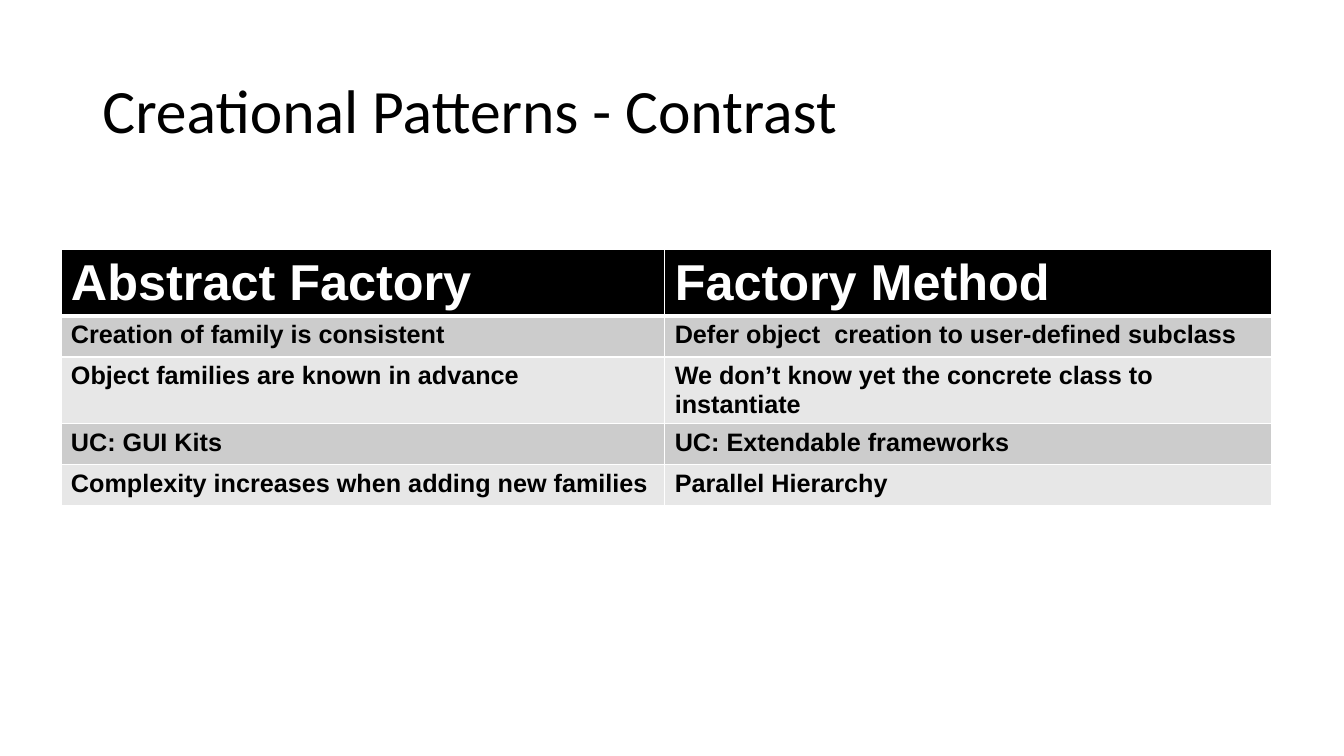
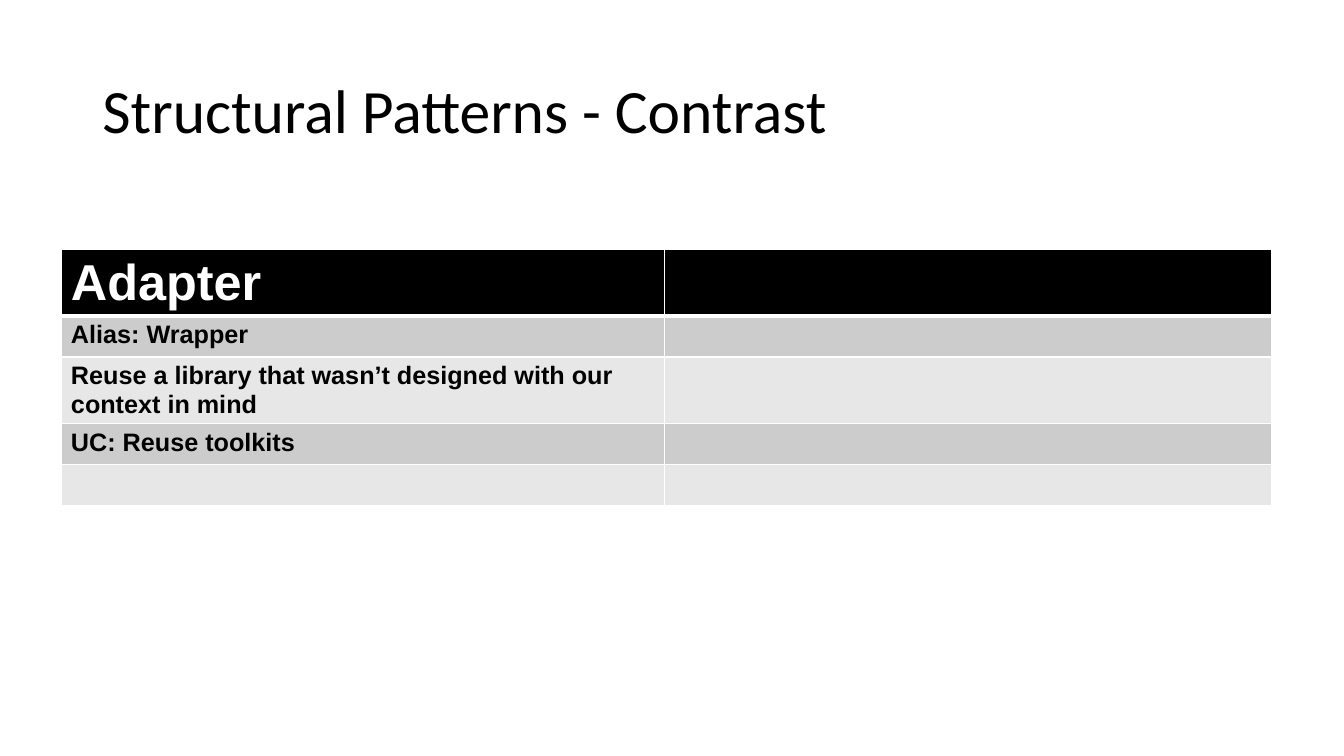
from dataclasses import dataclass

from lxml.etree import SubElement
from pptx import Presentation
from pptx.dml.color import RGBColor
from pptx.enum.text import MSO_ANCHOR, PP_ALIGN
from pptx.oxml.ns import qn
from pptx.util import Pt

SLIDES = [
    ("Creational Patterns - Contrast", [
        ("Abstract Factory", "Factory Method"),
        ("Creation of family is consistent", "Defer object  creation to user-defined subclass"),
        ("Object families are known in advance", "We don’t know yet the concrete class to instantiate"),
        ("UC: GUI Kits", "UC: Extendable frameworks"),
        ("Complexity increases when adding new families", "Parallel Hierarchy"),
    ]),
    ("Structural Patterns - Contrast", [
        ("Adapter", ""),
        ("Alias: Wrapper", ""),
        ("Reuse a library that wasn’t designed with our context in mind", ""),
        ("UC: Reuse toolkits", ""),
        ("", ""),
    ]),
]


@dataclass(frozen=True)
class Theme:
    title_font: str = "Calibri"
    table_font: str = "Arial"
    title_size: int = 44
    header_size: int = 36
    body_size: int = 18
    ink: str = "000000"
    paper: str = "FFFFFF"
    bands: tuple = ("CCCCCC", "E7E7E7")
    thin: int = 1
    thick: int = 3


THEME = Theme()
SLIDE_SIZE = (960, 540)
TITLE_BOX = (66, 28.75, 828, 104.4)
TABLE_ORIGIN = (43.5, 178.2)
COLUMN_WIDTHS = (431.3, 433.4)
ROW_HEIGHTS = (47.4, 29.2, 47.4, 29.2, 29.2)
TITLE_ONLY = 5


def add_text(para, text, font, size, color, bold=False):
    span = para.add_run()
    span.text = text
    span.font.name = font
    span.font.size = Pt(size)
    span.font.bold = bold
    span.font.color.rgb = RGBColor.from_string(color)


def add_title(page, text):
    box = page.shapes.title
    box.left, box.top, box.width, box.height = map(Pt, TITLE_BOX)
    frame = box.text_frame
    frame.word_wrap = True
    frame.vertical_anchor = MSO_ANCHOR.MIDDLE
    para = frame.paragraphs[0]
    para.alignment = PP_ALIGN.LEFT
    para.line_spacing = 0.9
    add_text(para, text, THEME.title_font, THEME.title_size, THEME.ink)


def set_borders(cell, row):
    properties = cell._tc.get_or_add_tcPr()
    widths = {
        "a:lnL": THEME.thin,
        "a:lnR": THEME.thin,
        "a:lnT": THEME.thick if row == 1 else THEME.thin,
        "a:lnB": THEME.thick if row == 0 else THEME.thin,
    }
    for index, (side, width) in enumerate(widths.items()):
        line = SubElement(properties, qn(side), w=str(Pt(width)))
        fill = SubElement(line, qn("a:solidFill"))
        SubElement(fill, qn("a:srgbClr"), val=THEME.paper)
        properties.insert(index, line)


def fill_cell(cell, row, text):
    header = row == 0
    background = THEME.ink if header else THEME.bands[(row - 1) % len(THEME.bands)]
    cell.fill.solid()
    cell.fill.fore_color.rgb = RGBColor.from_string(background)
    set_borders(cell, row)
    if text:
        size = THEME.header_size if header else THEME.body_size
        color = THEME.paper if header else THEME.ink
        add_text(cell.text_frame.paragraphs[0], text, THEME.table_font, size, color, bold=True)


def add_contrast_table(page, rows):
    extent = (*TABLE_ORIGIN, sum(COLUMN_WIDTHS), sum(ROW_HEIGHTS))
    table = page.shapes.add_table(len(rows), len(COLUMN_WIDTHS), *map(Pt, extent)).table
    for column, width in zip(table.columns, COLUMN_WIDTHS):
        column.width = Pt(width)
    for row, (texts, height) in enumerate(zip(rows, ROW_HEIGHTS)):
        table.rows[row].height = Pt(height)
        for column, text in enumerate(texts):
            fill_cell(table.cell(row, column), row, text)


def main():
    deck = Presentation()
    deck.slide_width, deck.slide_height = map(Pt, SLIDE_SIZE)
    for title, rows in SLIDES:
        page = deck.slides.add_slide(deck.slide_layouts[TITLE_ONLY])
        add_title(page, title)
        add_contrast_table(page, rows)
    deck.save("out.pptx")


if __name__ == "__main__":
    main()
